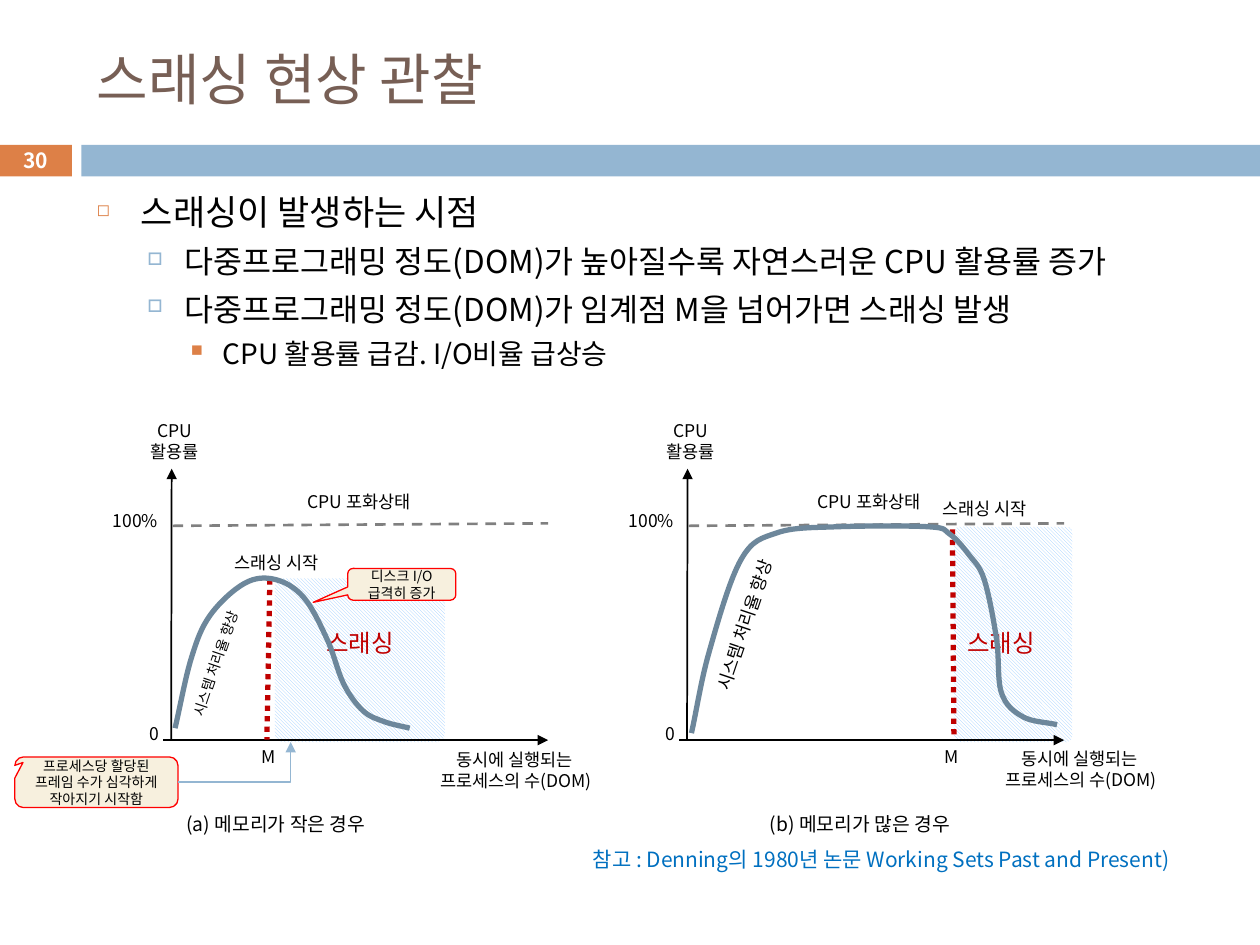
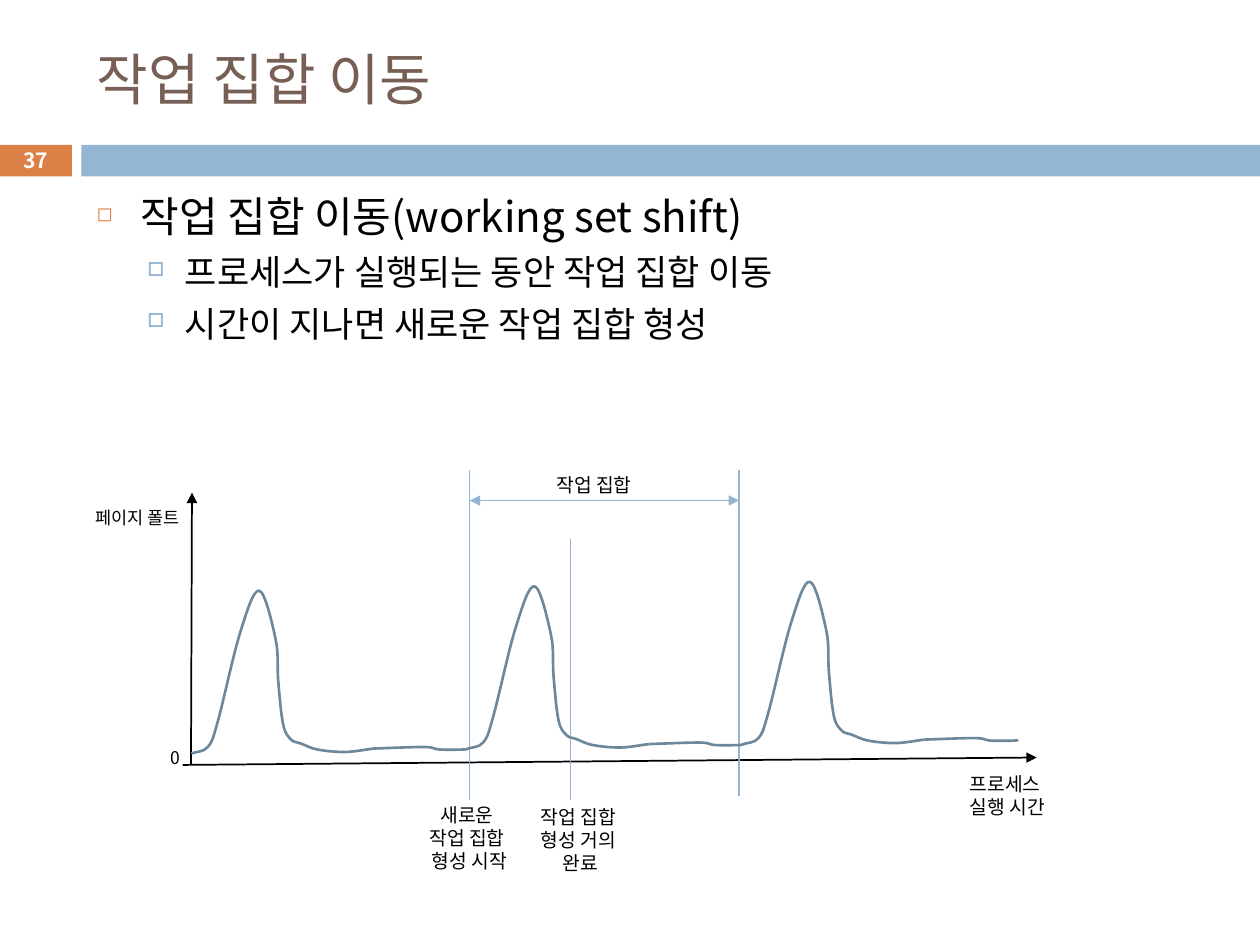
import lxml.etree
import pptx
import pptx.dml.color
import pptx.enum.dml
import pptx.enum.shapes
import pptx.enum.text
import pptx.oxml.ns
import pptx.util

Cm, Pt = pptx.util.Cm, pptx.util.Pt
RGB = pptx.dml.color.RGBColor.from_string
Align, Anchor = pptx.enum.text.PP_ALIGN, pptx.enum.text.MSO_ANCHOR
Fit = pptx.enum.text.MSO_AUTO_SIZE
Dash = pptx.enum.dml.MSO_LINE
Kind, Link = pptx.enum.shapes.MSO_SHAPE, pptx.enum.shapes.MSO_CONNECTOR
qn = pptx.oxml.ns.qn


class Theme:
    face = "Noto Sans CJK KR"
    title, black, white = RGB("775F55"), RGB("000000"), RGB("FFFFFF")
    orange, blue, curve = RGB("DD8047"), RGB("94B6D2"), RGB("6D879B")
    red, alert, grey = RGB("C00000"), RGB("FF0000"), RGB("808080")
    cream, hatch, ref = RGB("F7F0DE"), RGB("99CCFF"), RGB("0070C0")
    head, note, label, small, large = 32, 12, 10, 8, 14
    mid = 11
    thin, axis, bold = 0.79, 1, 3
    # bullet levels: left and hanging indent in cm, space before, mark, colour, percent
    levels = [
        (0.89, 0.89, 7, "◻", orange, 47),
        (1.78, 0.76, 5.5, "□", blue, 55),
        (2.54, 0.64, 5, "■", orange, 58),
    ]


def write(shape, lines, size, color=Theme.black, align=Align.CENTER, bold=False, **form):
    """Fill a shape with one paragraph a line; form holds text frame settings."""
    frame = shape.text_frame
    look = {"word_wrap": False, "auto_size": Fit.SHAPE_TO_FIT_TEXT} | form
    for key, val in look.items():
        setattr(frame, key, val)
    for i, line in enumerate(lines):
        para = frame.paragraphs[0] if i == 0 else frame.add_paragraph()
        para.alignment = align
        run = para.add_run()
        run.text = line
        for key, val in {"size": Pt(size), "bold": bold, "name": Theme.face}.items():
            setattr(run.font, key, val)
        run.font.color.rgb = color
        east = lxml.etree.SubElement(run.font._element, qn("a:ea"))
        east.set("typeface", Theme.face)


def rule(page, ends, color, width, head=False, tail=False, dash=None, kind=Link.STRAIGHT):
    """Draw a connector with optional arrowheads at its start and end."""
    link = page.shapes.add_connector(kind, *map(Cm, ends))
    link.line.color.rgb = color
    link.line.width = Pt(width)
    if dash:
        link.line.dash_style = dash
    for tag, shown in (("a:headEnd", head), ("a:tailEnd", tail)):
        if shown:
            lxml.etree.SubElement(link.line._ln, qn(tag)).set("type", "triangle")
    lxml.etree.SubElement(link._element.spPr, qn("a:effectLst"))
    return link


deck = pptx.Presentation()
deck.slide_width, deck.slide_height = Cm(25.4), Cm(19.05)

# Frame of each slide: title, bands, number and bullets (level, size, text)
topics = [
    ("스래싱 현상 관찰", "30", 4.83, [
        (0, 20, "스래싱이 발생하는 시점"),
        (1, 18, "다중프로그래밍 정도(DOM)가 높아질수록 자연스러운 CPU 활용률 증가"),
        (1, 18, "다중프로그래밍 정도(DOM)가 임계점 M을 넘어가면 스래싱 발생"),
        (2, 16, "CPU 활용률 급감. I/O비율 급상승"),
    ]),
    ("작업 집합 이동", "37", 14, [
        (0, 24, "작업 집합 이동(working set shift)"),
        (1, 20, "프로세스가 실행되는 동안 작업 집합 이동"),
        (1, 20, "시간이 지나면 새로운 작업 집합 형성"),
    ]),
]
pages = []
for title, number, tall, points in topics:
    page = deck.slides.add_slide(deck.slide_layouts[5])
    pages.append(page)
    for left, wide, color in ((0, 1.45, Theme.orange), (1.64, 23.76, Theme.blue)):
        band = page.shapes.add_shape(Kind.RECTANGLE, Cm(left), Cm(2.92), Cm(wide), Cm(0.64))
        band.shadow.inherit = False
        band.fill.solid()
        band.fill.fore_color.rgb = color
        band.line.fill.background()
    head = page.shapes.title
    place = {"left": 1.7, "top": 0.64, "width": 22.66, "height": 1.88}
    for key, val in place.items():
        setattr(head, key, Cm(val))
    write(head, [title], Theme.head, Theme.title, Align.LEFT, word_wrap=True,
          auto_size=Fit.NONE, vertical_anchor=Anchor.MIDDLE)
    tag = page.shapes.add_textbox(Cm(0), Cm(2.89), Cm(1.45), Cm(0.69))
    write(tag, [number], Theme.note, Theme.white, bold=True,
          auto_size=Fit.NONE, vertical_anchor=Anchor.MIDDLE)

    body = page.shapes.add_textbox(Cm(1.7), Cm(3.72), Cm(22.66), Cm(tall))
    write(body, [text for _, _, text in points], Theme.label, align=Align.LEFT,
          word_wrap=True, auto_size=Fit.NONE)
    for i, (level, size, _) in enumerate(points):
        para = body.text_frame.paragraphs[i]
        left, hang, space, mark, color, scale = Theme.levels[level]
        props = para._p.get_or_add_pPr()
        props.set("marL", str(Cm(left)))
        props.set("indent", str(-Cm(hang)))
        tint = lxml.etree.SubElement(props, qn("a:buClr"))
        lxml.etree.SubElement(tint, qn("a:srgbClr")).set("val", str(color))
        lxml.etree.SubElement(props, qn("a:buSzPct")).set("val", str(scale * 1000))
        lxml.etree.SubElement(props, qn("a:buChar")).set("char", mark)
        para.level = level
        para.space_before = Pt(space if i else 0)
        para.runs[0].font.size = Pt(size)

thrash, shift = pages

# Thrashing: two graphs, one panel apart
panels = [
    {"shift": 0, "zone": (5.54, 11.66, 3.43, 3.3), "limit": (5.44, 11.68, 5.38, 14.91),
     "process": (8.5, 14.97), "start": (4.25, 11), "word": 6.15, "full": 5.85,
     "m": 5.02, "rise": (2.47, 13.06, Theme.small),
     "name": (3.51, "(a) 메모리가 작은 경우")},
    {"shift": 10.4, "zone": (19.23, 10.62, 2.39, 4.34), "limit": (19.2, 10.67, 19.23, 14.88),
     "process": (19.89, 14.96), "start": (18.52, 9.91), "word": 19.07, "full": 16.13,
     "m": 18.79, "rise": (13.09, 12.27, Theme.label),
     "name": (15.27, "(b) 메모리가 많은 경우")},
]
for panel in panels:
    dx = panel["shift"]
    zone = thrash.shapes.add_shape(Kind.ROUNDED_RECTANGLE, *map(Cm, panel["zone"]))
    zone.shadow.inherit = False
    zone.adjustments[0] = 0.05
    zone.fill.patterned()
    zone.fill.pattern = pptx.enum.dml.MSO_PATTERN.LIGHT_DOWNWARD_DIAGONAL
    zone.fill.fore_color.rgb, zone.fill.back_color.rgb = Theme.hatch, Theme.white
    zone.line.fill.background()

    rule(thrash, (3.46 + dx, 9.45, 3.45 + dx, 14.93), Theme.black, Theme.axis, head=True)
    rule(thrash, (11.05 + dx, 14.92, 3.28 + dx, 14.92), Theme.black, Theme.axis, head=True)
    rule(thrash, (3.48 + dx, 10.6, 11.05 + dx, 10.55), Theme.grey, 1.5, dash=Dash.DASH)
    rule(thrash, panel["limit"], Theme.red, Theme.bold, dash=Dash.ROUND_DOT)

    labels = [
        (2.74 + dx, 8.34, 1.57, 1.12, ["CPU", "활용률"]),
        (1.98 + dx, 10.16, 1.5, 0.69, ["100%"]),
        (2.77 + dx, 14.45, 0.66, 0.69, ["0"]),
        (*panel["process"], 3.81, 1.12, ["동시에 실행되는 ", "프로세스의 수(DOM)"]),
        (*panel["start"], 2.64, 0.69, ["스래싱 시작"]),
        (panel["full"], 9.77, 2.77, 0.69, ["CPU 포화상태"]),
        (panel["m"], 14.91, 0.76, 0.69, ["M"]),
    ]
    for *box, lines in labels:
        write(thrash.shapes.add_textbox(*map(Cm, box)), lines, Theme.label)

    word = thrash.shapes.add_textbox(Cm(panel["word"]), Cm(12.53), Cm(2.34), Cm(0.86))
    write(word, ["스래싱 "], Theme.large, Theme.red)
    left, top, size = panel["rise"]
    rise = thrash.shapes.add_textbox(Cm(left), Cm(top), Cm(3.81), Cm(0.65))
    rise.rotation = 288.7
    write(rise, ["시스템 처리율 향상"], size)
    left, text = panel["name"]
    name = thrash.shapes.add_textbox(Cm(left), Cm(16.26), Cm(4.52), Cm(0.74))
    write(name, [text], Theme.mid, align=Align.LEFT)

source = thrash.shapes.add_textbox(Cm(11.7), Cm(16.94), Cm(12.78), Cm(0.76))
write(source, ["참고 : Denning의 1980년 논문 Working Sets Past and Present)"],
      Theme.note, Theme.ref, Align.LEFT)

# Working set shift: axes, marks and labels
rule(shift, (3.87, 9.93, 3.85, 15.42), Theme.black, Theme.axis, head=True)
rule(shift, (20.9, 15.27, 3.68, 15.42), Theme.black, Theme.axis, head=True)
for x, top, end in ((9.47, 9.47, 16.13), (14.9, 9.47, 16.05), (11.5, 10.87, 16.13)):
    rule(shift, (x, top, x, end), Theme.blue, Theme.thin)
rule(shift, (9.47, 10.09, 14.9, 10.09), Theme.blue, Theme.thin, head=True, tail=True)
labels = [
    (1.57, 10.09, 2.41, 0.69, Theme.label, Align.CENTER, ["페이지 폴트"]),
    (3.16, 14.94, 0.74, 0.69, Theme.label, Align.CENTER, ["0"]),
    (19.3, 15.44, 2.21, 1.19, Theme.mid, Align.LEFT, ["프로세스", "실행 시간"]),
    (8.28, 16.06, 2.36, 1.68, Theme.mid, Align.CENTER, ["새로운 ", "작업 집합 ", "형성 시작"]),
    (10.52, 16.11, 2.36, 1.68, Theme.mid, Align.CENTER, ["작업 집합 ", "형성 거의 ", "완료"]),
    (10.84, 9.42, 2.36, 0.74, Theme.mid, Align.CENTER, ["작업 집합 "]),
]
for *box, size, align, lines in labels:
    write(shift.shapes.add_textbox(*map(Cm, box)), lines, size, align=align)

# Curves: smooth lines through knots
small = [(3.53, 14.68), (3.86, 13.26), (4.24, 12.4), (4.93, 11.76), (5.54, 11.68),
         (6.12, 12.04), (6.6, 12.9), (6.93, 13.79), (7.32, 14.33), (7.75, 14.55),
         (8.26, 14.68)]
large = [(13.94, 14.78), (14.3, 13.13), (14.94, 11.28), (15.67, 10.74), (16.87, 10.62),
         (18.72, 10.62), (19.15, 10.77), (19.53, 11.18), (19.84, 11.68), (20.09, 12.88),
         (20.19, 13.97), (20.62, 14.45), (21.31, 14.61)]
peak = [(0, 0), (0.33, -0.13), (0.53, -0.64), (0.99, -2.46), (1.37, -3.28), (1.7, -2.29),
        (1.75, -1.47), (1.85, -0.58), (2.01, -0.28), (2.21, -0.2), (2.54, -0.08),
        (3.1, -0.03), (3.68, -0.1)]
calm = [(3.68, -0.1), (4.7, -0.13), (5, -0.08), (5.49, -0.08), (5.56, -0.1)]
curves = [(thrash, small, Theme.bold), (thrash, large, Theme.bold)]
for turn in range(3):
    for part in (peak, calm):
        knots = [(3.86 + 5.55 * turn + x, 15.19 - 0.09 * turn + y) for x, y in part]
        curves.append((shift, knots, 1.5))

for page, knots, width in curves:
    dots = [tuple(map(Cm, knot)) for knot in knots]
    pen = page.shapes.build_freeform(*dots[0])
    pen.add_line_segments(dots[1:], close=False)
    curve = pen.convert_to_shape()
    curve.shadow.inherit = False
    curve.fill.background()
    curve.line.color.rgb = Theme.curve
    curve.line.width = Pt(width)
    # Bend each straight segment: control points lie a sixth of the neighbours' span away
    first = [2 * a - b for a, b in zip(dots[0], dots[1])]
    last = [2 * a - b for a, b in zip(dots[-1], dots[-2])]
    chain = [first, *dots, last]
    parts = list(curve._element.iter(qn("a:lnTo")))
    for part, a, b, c, d in zip(parts, chain, chain[1:], chain[2:], chain[3:]):
        part.tag = qn("a:cubicBezTo")
        away = [q + (r - p) / 6 for p, q, r in zip(a, b, c)]
        near = [r - (s - q) / 6 for q, r, s in zip(b, c, d)]
        for i, (x, y) in enumerate((away, near)):
            spot = lxml.etree.Element(qn("a:pt"))
            spot.set("x", str(round(x - curve.left)))
            spot.set("y", str(round(y - curve.top)))
            part.insert(i, spot)

# Callouts over the first graph
calls = [
    ((7.01, 11.46, 2.18, 0.64), (-0.82, 0.57, 0.17), ["디스크 I/O", "급격히 증가"]),
    ((0.3, 15.26, 3.29, 1.02), (-0.45, -0.39, 0.17),
     ["프로세스당 할당된 프레임 수가 심각하게 작아지기 시작함"]),
]
for box, bends, lines in calls:
    call = thrash.shapes.add_shape(Kind.ROUNDED_RECTANGULAR_CALLOUT, *map(Cm, box))
    call.shadow.inherit = False
    for i, bend in enumerate(bends):
        call.adjustments[i] = bend
    call.fill.solid()
    call.fill.fore_color.rgb = Theme.cream
    call.line.color.rgb = Theme.alert
    call.line.width = Pt(0.75)
    write(call, lines, Theme.small, word_wrap=True, auto_size=Fit.NONE,
          vertical_anchor=Anchor.MIDDLE)

elbow = rule(thrash, (3.59, 15.77, 5.86, 14.96), Theme.blue, Theme.thin,
             tail=True, kind=Link.ELBOW)
form = elbow._element.spPr.find(qn("a:prstGeom"))
guides = form.find(qn("a:avLst"))
if guides is None:
    guides = lxml.etree.SubElement(form, qn("a:avLst"))
guide = lxml.etree.SubElement(guides, qn("a:gd"))
guide.set("name", "adj1")
guide.set("fmla", "val 100000")

deck.save("out.pptx")
